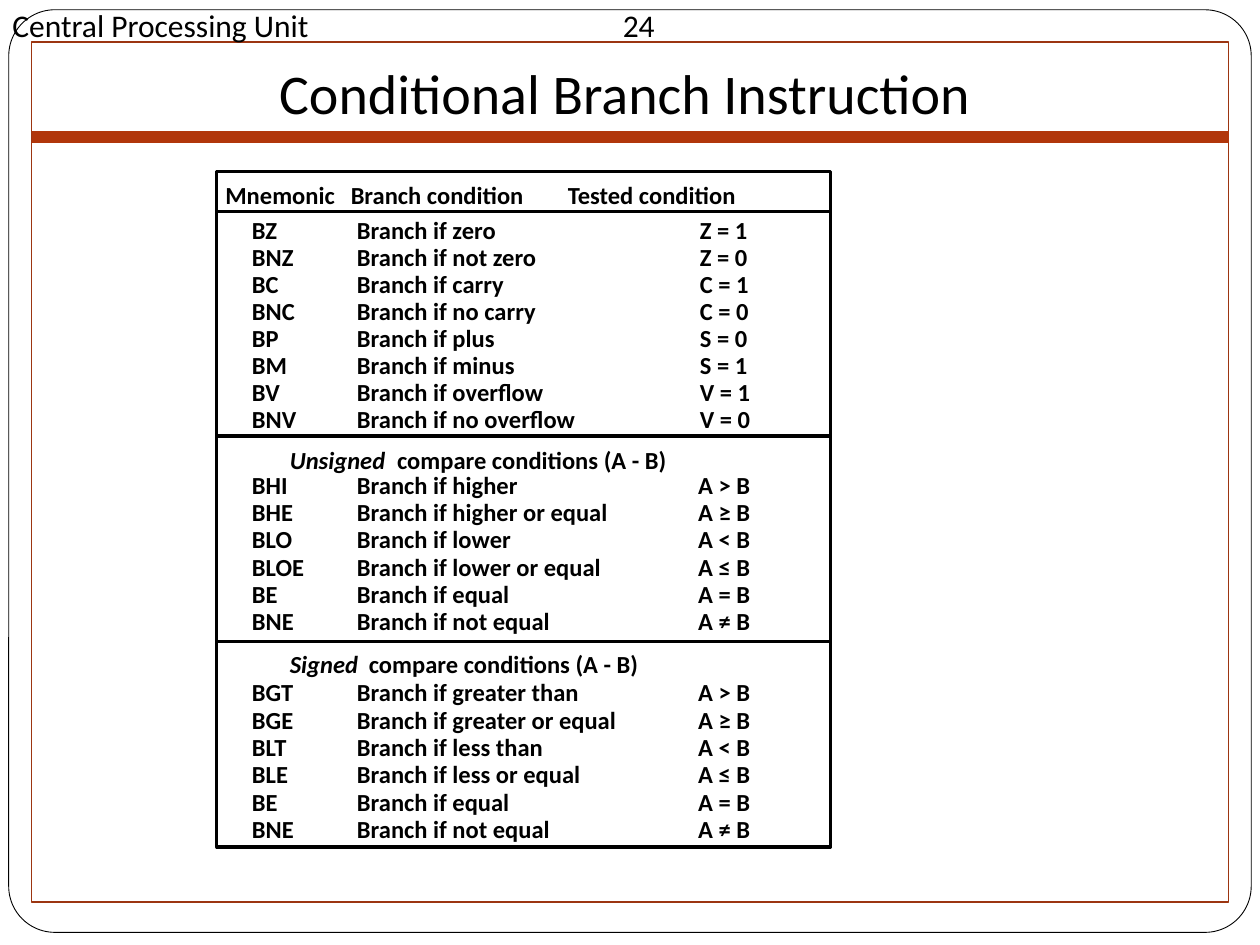
from dataclasses import dataclass

from lxml.etree import SubElement
from pptx import Presentation
from pptx.dml.color import RGBColor
from pptx.enum.shapes import MSO_CONNECTOR, MSO_SHAPE
from pptx.enum.text import PP_ALIGN
from pptx.oxml.ns import qn
from pptx.util import Pt


@dataclass(frozen=True)
class Theme:
    """Colours, font and type sizes of the slide."""
    ink: RGBColor = RGBColor(0x00, 0x00, 0x00)
    paper: RGBColor = RGBColor(0xFF, 0xFF, 0xFF)
    border: RGBColor = RGBColor(0x9C, 0x35, 0x11)
    accent: RGBColor = RGBColor(0xB1, 0x36, 0x0B)
    font: str = "Calibri"
    title: int = 32
    header: int = 18
    body: int = 14


THEME = Theme()
FLAGS = [
    ("BZ", "Branch if zero", "Z = 1"),
    ("BNZ", "Branch if not zero", "Z = 0"),
    ("BC", "Branch if carry", "C = 1"),
    ("BNC", "Branch if no carry", "C = 0"),
    ("BP", "Branch if plus", "S = 0"),
    ("BM", "Branch if minus", "S = 1"),
    ("BV", "Branch if overflow", "V = 1"),
    ("BNV", "Branch if no overflow", "V = 0"),
]
EQUALITY = [("BE", "Branch if equal", "A = B"), ("BNE", "Branch if not equal", "A ≠ B")]
UNSIGNED = [
    ("BHI", "Branch if higher", "A > B"),
    ("BHE", "Branch if higher or equal", "A ≥ B"),
    ("BLO", "Branch if lower", "A < B"),
    ("BLOE", "Branch if lower or equal", "A ≤ B"),
] + EQUALITY
SIGNED = [
    ("BGT", "Branch if greater than", "A > B"),
    ("BGE", "Branch if greater or equal", "A ≥ B"),
    ("BLT", "Branch if less than", "A < B"),
    ("BLE", "Branch if less or equal", "A ≤ B"),
] + EQUALITY


def add_box(s, kind, box, color, weight, fill=None):
    """Add an outlined shape, filled only when a fill is given."""
    sp = s.shapes.add_shape(kind, *map(Pt, box))
    sp.shadow.inherit = False
    if fill is None:
        sp.fill.background()
    else:
        sp.fill.solid()
        sp.fill.fore_color.rgb = fill
    sp.line.color.rgb = color
    sp.line.width = Pt(weight)
    return sp


def add_rule(s, x, y, w, color, weight):
    """Add a horizontal line of the given width."""
    ln = s.shapes.add_connector(MSO_CONNECTOR.STRAIGHT, Pt(x), Pt(y), Pt(x + w), Pt(y))
    ln.line.color.rgb = color
    ln.line.width = Pt(weight)
    SubElement(ln._element.spPr, qn("a:effectLst"))


def add_text(s, box, lines, size, tabs=(), bold=False, spacing=None,
             align=None, insets=(5, 2), lead_italic=False):
    """Add a text box whose lines are tuples of tab-separated cells."""
    tf = s.shapes.add_textbox(*map(Pt, box)).text_frame
    tf.word_wrap = True
    tf.margin_left = tf.margin_right = Pt(insets[0])
    tf.margin_top = tf.margin_bottom = Pt(insets[1])
    for i, cells in enumerate(lines):
        p = tf.paragraphs[0] if i == 0 else tf.add_paragraph()
        if lead_italic:
            p.text = cells[0]
            p.runs[0].font.italic = True
            p.add_run().text = "\t" + "\t".join(cells[1:])
        else:
            p.text = "\t".join(cells)
        p.alignment = align
        p.line_spacing = spacing
        for r in p.runs:
            r.font.name = THEME.font
            r.font.size = Pt(size)
            r.font.bold = bold
            r.font.color.rgb = THEME.ink
        if tabs:
            stops = SubElement(p._p.get_or_add_pPr(), qn("a:tabLst"))
            for pos in tabs:
                SubElement(stops, qn("a:tab"), pos=str(Pt(pos)), algn="l")


def draw_frame(s, box):
    """Draw the rounded page edge, the inner border and the title rule."""
    x, y, w, h = box
    page = add_box(s, MSO_SHAPE.ROUNDED_RECTANGLE, (x + 5, y + 5.6, w - 10, h - 12.8),
                   THEME.ink, 0.5, THEME.paper)
    page.adjustments[0] = 0.05
    add_box(s, MSO_SHAPE.RECTANGLE, (x + 18, y + 24, w - 36, h - 48.4), THEME.border, 1)
    add_rule(s, x + 18, y + 78.1, w - 36, THEME.accent, 6.75)


def draw_heading(s, box):
    """Write the running header with its page number and the slide title."""
    x, y, w, h = box
    add_text(s, (x, y, w, 29), [("Central Processing Unit", "24")], THEME.header,
             tabs=[348.8], insets=(7.2, 3.6))
    add_text(s, (x + 54, y + 30.2, 606.2, h - 30.2), [("Conditional Branch Instruction",)],
             THEME.title, align=PP_ALIGN.CENTER, insets=(7.2, 3.6))


def draw_group(s, box, rows, spacing, tabs):
    """Write one group of instructions in three tabbed columns."""
    add_text(s, box, rows, THEME.body, tabs=tabs, bold=True, spacing=spacing)


def draw_instructions(s, box):
    """Draw the framed list of branch instructions in three groups."""
    x, y, w, h = box
    left, span = x + 15.2, 507
    draw_group(s, (left, y + 24.5, span, 129), FLAGS, 0.92, (60, 256))
    compares = [("Unsigned", UNSIGNED, 154.1, 169.9, 61.3),
                ("Signed", SIGNED, 270.7, 288.7, 45.2)]
    for name, rows, head, top, tab in compares:
        draw_group(s, (left, y + top, span, 98), rows, 0.93, (60, 255))
        add_text(s, (x + 36.8, y + head, 227, 21), [(name, "compare conditions (A - B)")],
                 THEME.body, tabs=[tab], bold=True, lead_italic=True)
    add_text(s, (x, y + 2.9, 304, 21), [("Mnemonic", "Branch condition", "Tested condition")],
             THEME.body, tabs=(71.7, 195.7), bold=True)
    add_box(s, MSO_SHAPE.RECTANGLE, box, THEME.ink, 2)
    for dy in (23, 151.2, 268.6):
        add_rule(s, x, y + dy, w, THEME.ink, 2)


def main():
    """Build and save the slide."""
    prs = Presentation()
    prs.slide_width, prs.slide_height = Pt(720), Pt(540)
    s = prs.slides.add_slide(prs.slide_layouts[6])
    draw_frame(s, (0, 0, 720, 540))
    draw_heading(s, (0, 0, 720, 76.3))
    draw_instructions(s, (123.8, 97.9, 350.8, 386))
    prs.save("out.pptx")


if __name__ == "__main__":
    main()
